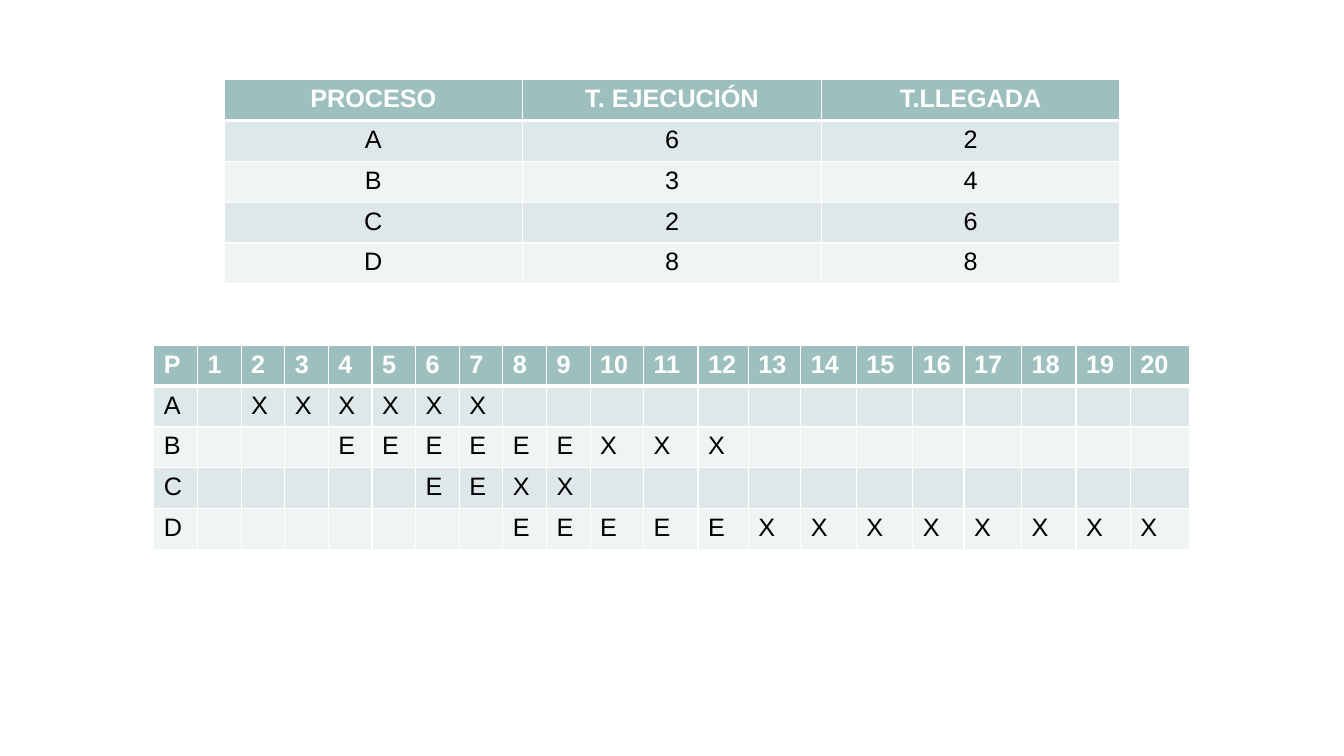
from dataclasses import dataclass

from lxml.etree import SubElement
from pptx import Presentation
from pptx.dml.color import RGBColor
from pptx.enum.text import PP_ALIGN as Align
from pptx.oxml.ns import qn
from pptx.util import Inches, Pt


@dataclass(frozen=True)
class Theme:
    font: str = "Arial"
    size: int = 18
    header_fill: str = "9DBFBE"
    band_fills: tuple = ("DFE8E8", "EFF4F4")
    header_text: str = "FFFFFF"
    body_text: str = "000000"
    border: str = "FFFFFF"
    thin: int = 1
    thick: int = 3


@dataclass(frozen=True)
class Process:
    name: str
    duration: int
    arrival: int
    start: int

    def mark(self, tick):
        if self.arrival <= tick < self.start:
            return "E"
        return "X" if self.start <= tick < self.start + self.duration else ""


THEME = Theme()
WIDTH, HEIGHT = 13.33, 7.5
ROW_HEIGHT = HEIGHT / 18.5
TICKS = range(1, 21)
PROCESSES = [
    Process("A", 6, 2, 2),
    Process("B", 3, 4, 10),
    Process("C", 2, 6, 8),
    Process("D", 8, 8, 13),
]
PROCESS_COLUMNS = [WIDTH * 2 / 9] * 3
TIMELINE_COLUMNS = [WIDTH / 30.8] * 10 + [
    0.53, 0.54, 0.5, 0.52, 0.55, 0.56, 0.51, 0.57, 0.54, 0.54, 0.59]


def set_borders(cell, row_index):
    properties = cell._tc.get_or_add_tcPr()
    widths = {
        "L": THEME.thin,
        "R": THEME.thin,
        "T": THEME.thick if row_index == 1 else THEME.thin,
        "B": THEME.thick if row_index == 0 else THEME.thin,
    }
    for side, width in widths.items():
        line = SubElement(properties, qn(f"a:ln{side}"), w=str(Pt(width)))
        fill = SubElement(line, qn("a:solidFill"))
        SubElement(fill, qn("a:srgbClr"), val=THEME.border)


def fill_cell(cell, text, row_index, alignment):
    is_header = row_index == 0
    set_borders(cell, row_index)
    cell.fill.solid()
    band = THEME.band_fills[(row_index - 1) % 2]
    cell.fill.fore_color.rgb = RGBColor.from_string(
        THEME.header_fill if is_header else band)
    if not text:
        return
    paragraph = cell.text_frame.paragraphs[0]
    paragraph.alignment = alignment
    run = paragraph.add_run()
    run.text = text
    font_format = {"name": THEME.font, "size": Pt(THEME.size), "bold": is_header}
    for attribute, value in font_format.items():
        setattr(run.font, attribute, value)
    run.font.color.rgb = RGBColor.from_string(
        THEME.header_text if is_header else THEME.body_text)


def add_centered_table(slide, rows, columns, top_row, alignment):
    table_width = sum(columns)
    table = slide.shapes.add_table(
        len(rows), len(columns),
        Inches((WIDTH - table_width) / 2), Inches(top_row * ROW_HEIGHT),
        Inches(table_width), Inches(ROW_HEIGHT * len(rows))).table
    table.horz_banding = False
    for column, width in zip(table.columns, columns):
        column.width = Inches(width)
    for row_index, row in enumerate(rows):
        table.rows[row_index].height = Inches(ROW_HEIGHT)
        for column_index, text in enumerate(row):
            fill_cell(table.cell(row_index, column_index), text, row_index, alignment)


def process_rows():
    return [["PROCESO", "T. EJECUCIÓN", "T.LLEGADA"]] + [
        [process.name, str(process.duration), str(process.arrival)]
        for process in PROCESSES]


def timeline_rows():
    return [["P", *map(str, TICKS)]] + [
        [process.name, *map(process.mark, TICKS)] for process in PROCESSES]


def main():
    presentation = Presentation()
    presentation.slide_width = Inches(WIDTH)
    presentation.slide_height = Inches(HEIGHT)
    slide = presentation.slides.add_slide(presentation.slide_layouts[6])
    add_centered_table(slide, process_rows(), PROCESS_COLUMNS, 1.95, Align.CENTER)
    add_centered_table(slide, timeline_rows(), TIMELINE_COLUMNS, 8.45, Align.LEFT)
    presentation.save("out.pptx")


if __name__ == "__main__":
    main()
